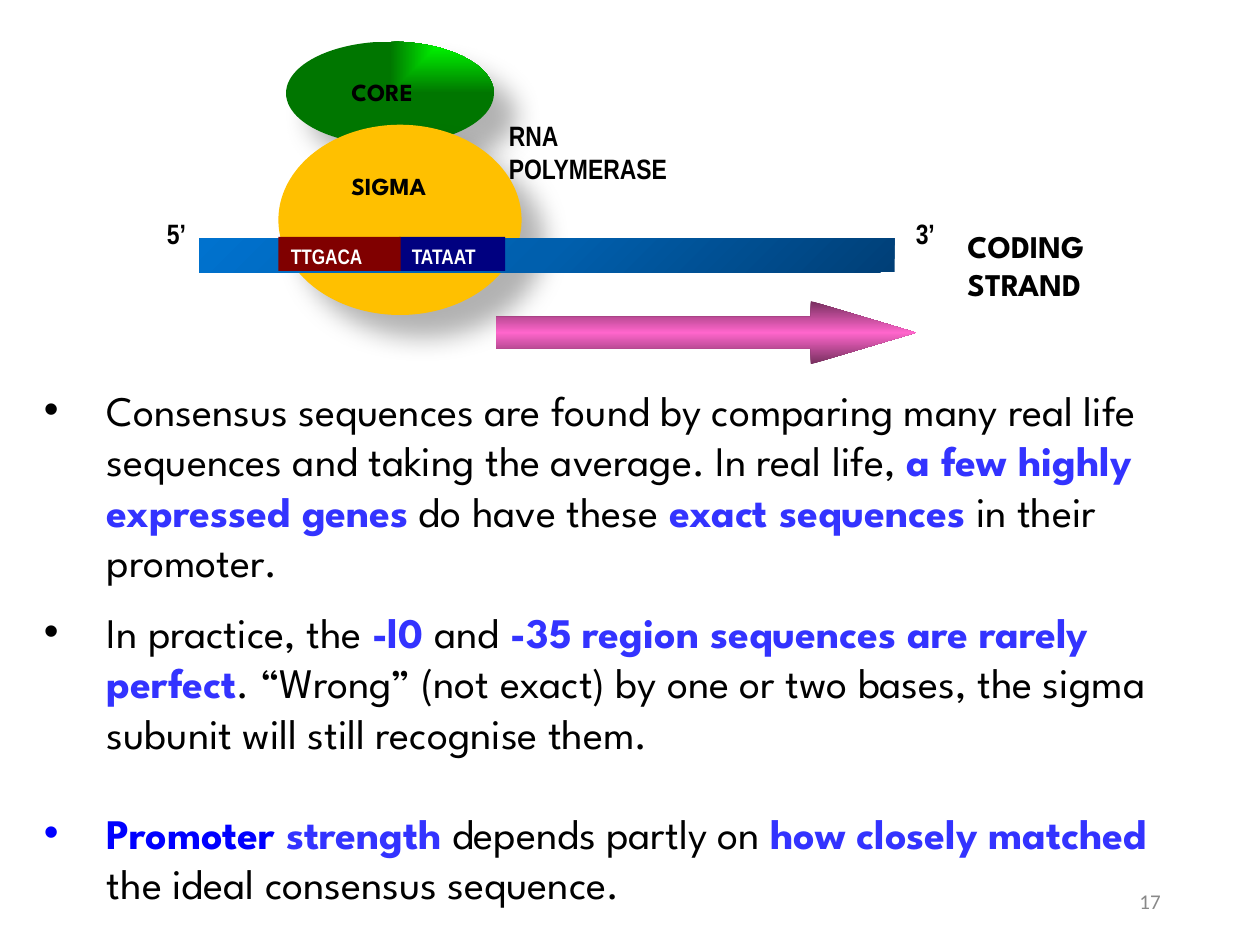
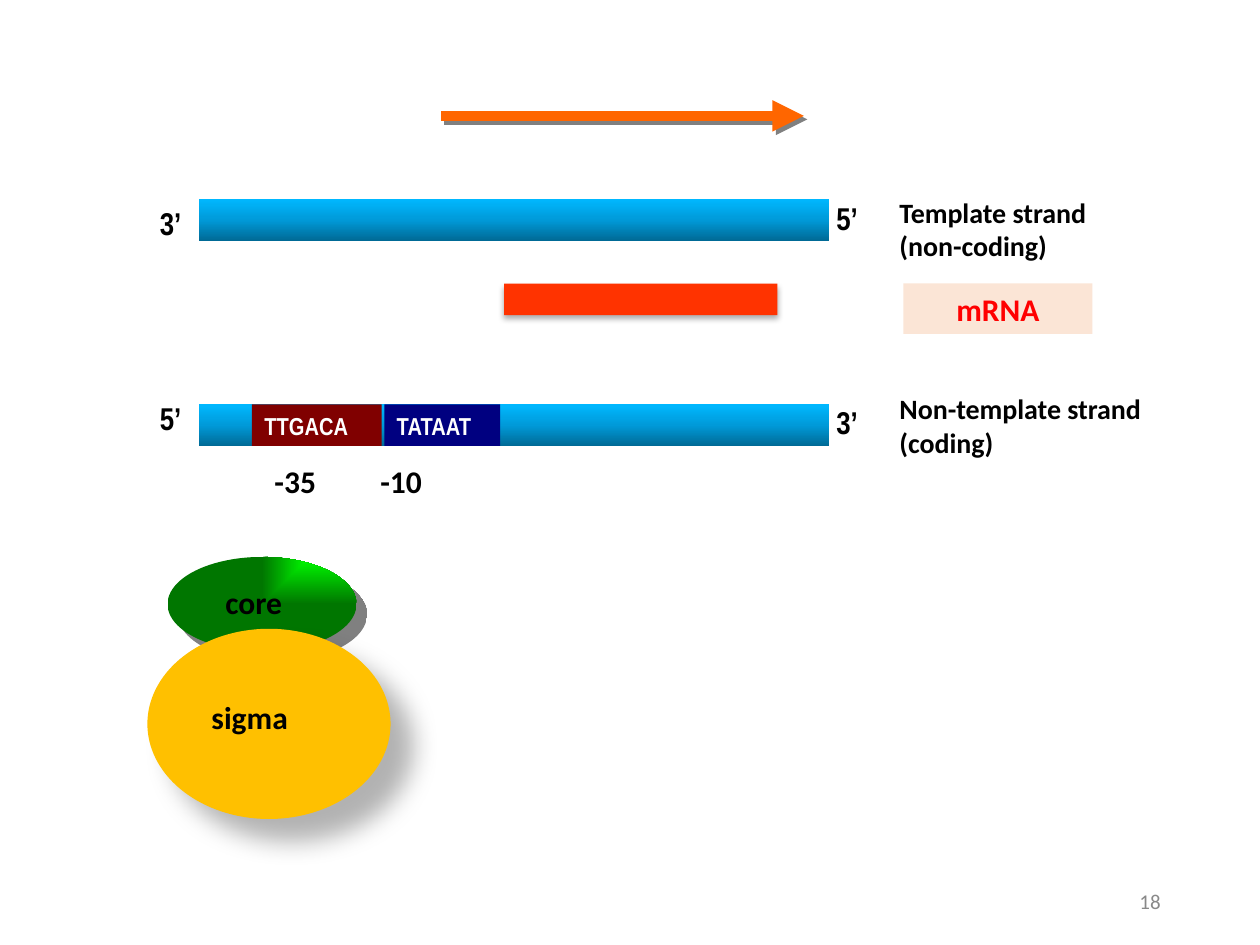
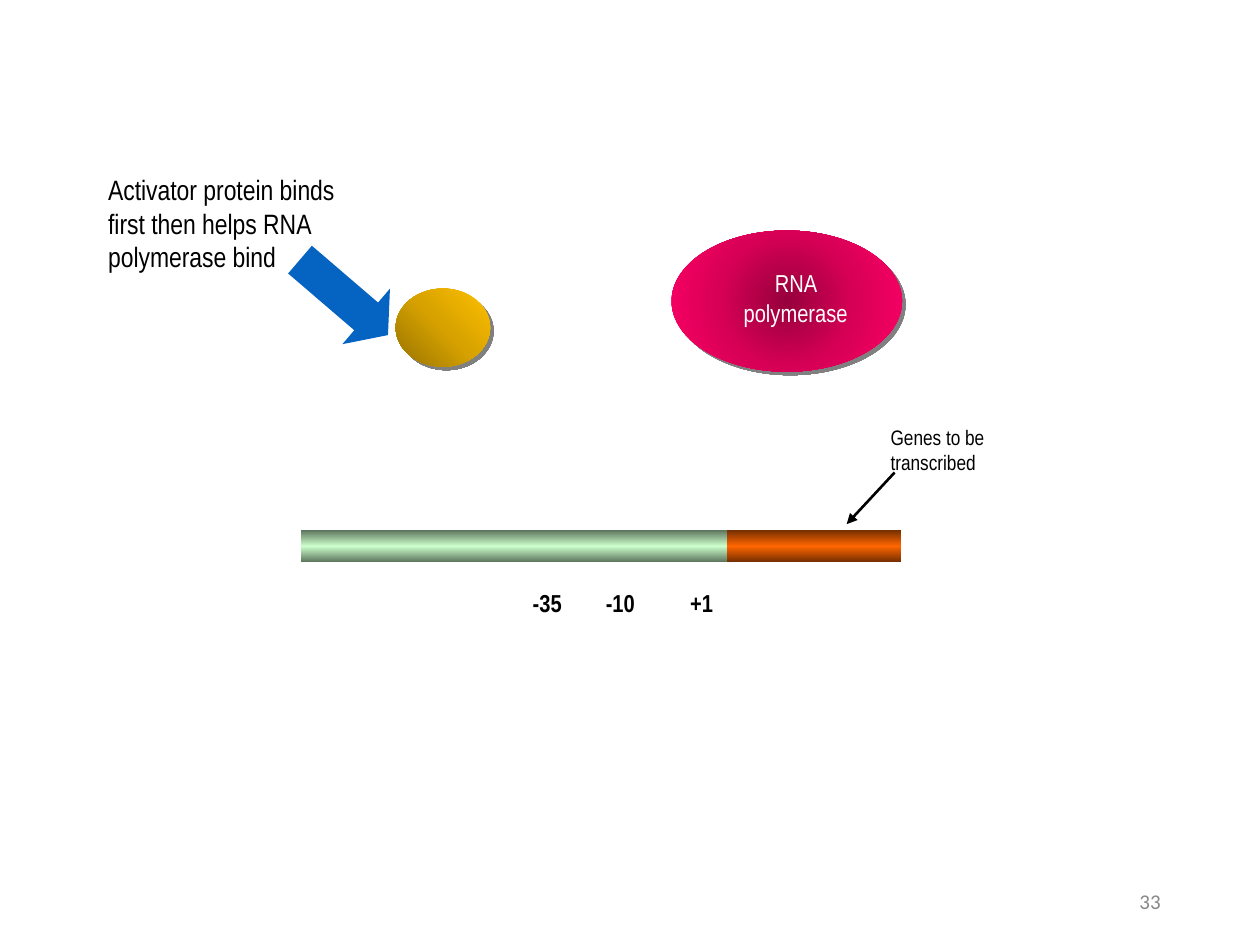
from pptx import Presentation
from pptx.dml.color import RGBColor
from pptx.enum.shapes import MSO_CONNECTOR, MSO_SHAPE
from pptx.enum.text import MSO_ANCHOR, PP_ALIGN
from pptx.oxml import parse_xml
from pptx.oxml.ns import nsdecls
from pptx.util import Inches, Pt

OVAL, RECT, ARROW = MSO_SHAPE.OVAL, MSO_SHAPE.RECTANGLE, MSO_SHAPE.RIGHT_ARROW
LEFT, MID, RIGHT = PP_ALIGN.LEFT, PP_ALIGN.CENTER, PP_ALIGN.RIGHT
TOP, CENTER = MSO_ANCHOR.TOP, MSO_ANCHOR.MIDDLE
STRAIGHT = MSO_CONNECTOR.STRAIGHT

# Colours
BLACK = RGBColor(0x00, 0x00, 0x00)
WHITE = RGBColor(0xFF, 0xFF, 0xFF)
GREY = RGBColor(0x89, 0x89, 0x89)
GOLD = RGBColor(0xFF, 0xC0, 0x00)
NAVY = RGBColor(0x00, 0x00, 0x80)
MAROON = RGBColor(0x80, 0x00, 0x00)
BLUE = RGBColor(0x00, 0x00, 0xFF)
VIOLET = RGBColor(0x33, 0x33, 0xFF)
ROYAL = RGBColor(0x05, 0x63, 0xC1)
ORANGE = RGBColor(0xFF, 0x66, 0x00)
RED = RGBColor(0xFF, 0x00, 0x00)
SCARLET = RGBColor(0xFF, 0x33, 0x00)
PEACH = RGBColor(0xFB, 0xE5, 0xD6)

# Gradients: evenly spaced stops, then an angle or a path with its focus
GREEN = (("00FF00", "007600"), ("rect", 100, 0, 0, 100))
OCEAN = (("003F77", "005FAD", "0072CE"), 225)
SKY = (("006A96", "009AD9", "00B8FF"), 270)
PINK = (("762F5E", "FF66CC", "762F5E"), 90)
MINT = (("5E765E", "CCFFCC", "5E765E"), 90)
RUST = (("762F00", "FF6600", "762F00"), 90)
AMBER = (("977200", "D7A200", "FFC000"), ("circle", 0, 100, 100, 0))
ROSE = (("97003C", "D70056", "FF0066"), ("circle", 50, 50, 50, 50))

# Shadows: colour, opacity %, blur pt, distance pt, angle
SOFT = ("000000", 30, 15, 18, 45)
HARD = ("808080", 100, 0, 2.8, 45)
DEEP = ("808080", 100, 0, 8.5, 45)
DROP = ("000000", 32, 3.5, 2.2, 90)

# Text styles
NARROW = dict(name="Arial Narrow", size=Pt(16), bold=True, color=BLACK)
SPARTAN = dict(NARROW, name="League Spartan", size=Pt(14))
PLAIN = dict(NARROW, name="Calibri", size=Pt(18))
FOOT = dict(PLAIN, size=Pt(12), bold=False, color=GREY)
BODY = dict(SPARTAN, size=Pt(24), bold=False)
KEY = dict(bold=True, color=VIOLET)

deck = Presentation()
deck.slide_width, deck.slide_height = Inches(10), Inches(7.5)
UNIT = deck.slide_width / 10  # one column of the grid, and one row


def shape(page, kind, box, fill=None, shade=None, rot=0, adj=()):
    """Add a preset shape, or a text box when kind is None."""
    area = [round(v * UNIT) for v in box]
    if kind is None:
        return page.shapes.add_textbox(*area)
    item = page.shapes.add_shape(kind, *area)
    item.rotation = rot
    for i, val in enumerate(adj):
        item.adjustments[i] = val
    item.line.fill.background()
    item.shadow.inherit = False
    props = item._element.spPr
    if isinstance(fill, RGBColor):
        item.fill.solid()
        item.fill.fore_color.rgb = fill
    else:
        tones, way = fill
        stops = "".join(
            f'<a:gs pos="{i * 100000 // (len(tones) - 1)}"><a:srgbClr val="{tone}"/></a:gs>'
            for i, tone in enumerate(tones))
        if isinstance(way, int):
            tail = f'<a:lin ang="{way * 60000}" scaled="0"/>'
        else:
            form, *edge = way
            sides = " ".join(f'{s}="{v * 1000}"' for s, v in zip("ltrb", edge))
            tail = f'<a:path path="{form}"><a:fillToRect {sides}/></a:path>'
        props.insert(2, parse_xml(
            f'<a:gradFill {nsdecls("a")} rotWithShape="1"><a:gsLst>{stops}</a:gsLst>{tail}</a:gradFill>'))
    if shade:
        tone, alpha, blur, dist, turn = shade
        props[-1].append(parse_xml(
            f'<a:outerShdw {nsdecls("a")} blurRad="{Pt(blur)}" dist="{Pt(dist)}" dir="{turn * 60000}"'
            f' algn="ctr" rotWithShape="0"><a:srgbClr val="{tone}">'
            f'<a:alpha val="{alpha * 1000}"/></a:srgbClr></a:outerShdw>'))
    return item


def write(item, paras, style, align=LEFT, anchor=TOP, tabs=(), gaps=None):
    """Fill a shape with paragraphs; gaps makes them bullets with space before."""
    frame = item.text_frame
    frame.word_wrap, frame.vertical_anchor = True, anchor
    for i, runs in enumerate([paras] if isinstance(paras, str) else paras):
        para = frame.add_paragraph() if i else frame.paragraphs[0]
        para.alignment = align
        props = para._p.get_or_add_pPr()
        if gaps:
            props.set("marL", str(Inches(0.5)))
            props.set("indent", str(-Inches(0.5)))
            props.append(parse_xml(f'<a:buFont {nsdecls("a")} typeface="Arial"/>'))
            props.append(parse_xml(f'<a:buChar {nsdecls("a")} char="•"/>'))
            if i:
                para.space_before = Pt(gaps[i])
        if tabs:
            stops = "".join(f'<a:tab pos="{Inches(t)}" algn="l"/>' for t in tabs)
            props.append(parse_xml(f'<a:tabLst {nsdecls("a")}>{stops}</a:tabLst>'))
        for words, more in [(runs, {})] if isinstance(runs, str) else runs:
            run = para.add_run()
            run.text = words
            for key, val in {**style, **more}.items():
                if key == "color":
                    run.font.color.rgb = val
                else:
                    setattr(run.font, key, val)


# Pages with their numbers
pages = []
for number in ("17", "18", "33"):
    page = deck.slides.add_slide(deck.slide_layouts[6])
    write(shape(page, None, (7.06, 6.95, 2.25, 0.4)), number, FOOT, RIGHT, CENTER)
    pages.append(page)
first, second, third = pages

# Slide 1: polymerase on the coding strand
shape(first, OVAL, (2.27, 0.33, 1.65, 0.82), GREEN, SOFT)
shape(first, OVAL, (2.21, 0.99, 1.93, 1.51), GOLD, SOFT)
shape(first, RECT, (1.58, 1.89, 5.52, 0.27), OCEAN)
shape(first, ARROW, (3.94, 2.39, 3.33, 0.5), PINK, adj=(0.5, 1.667))
for words, box, style, align in (
    ("SIGMA", (2.69, 1.31, 1, 0.25), SPARTAN, LEFT),
    ("CORE", (2.69, 0.56, 0.92, 0.25), SPARTAN, LEFT),
    ("RNA POLYMERASE", (3.94, 0.89, 1.77, 0.56), NARROW, LEFT),
    ("CODING STRAND", (7.58, 1.75, 1.52, 0.61), dict(SPARTAN, size=Pt(18)), LEFT),
    ("5’", (1.17, 1.67, 0.46, 0.54), NARROW, MID),
    ("3’", (7.17, 1.67, 0.46, 0.45), NARROW, LEFT),
):
    write(shape(first, None, box), words, style, align)

# Slide 1: findings
write(shape(first, None, (0.25, 3, 9.42, 4.31)), [
    [("Consensus sequences are found by comparing many real life sequences "
      "and taking the average. In real life, ", {}),
     ("a few highly expressed genes", KEY), (" do have these ", {}),
     ("exact sequences", KEY), (" in their promoter.", {})],
    [("In practice, the ", {}), ("-l0 ", KEY), ("and", {}),
     (" -35 region sequences are rarely perfect", KEY),
     (". “Wrong” (not exact) by one or two bases, the sigma subunit "
      "will still recognise them.", {})],
    [("Promoter", dict(KEY, color=BLUE)), (" strength", KEY),
     (" depends partly on ", {}), ("how closely matched", KEY),
     (" the ideal consensus sequence.", {})],
], BODY, gaps=(0, 11.7, 28.3))

# Slide 2: the two strands, the transcript and the polymerase
for top in (1.58, 3.21):
    shape(second, RECT, (1.58, top, 5, 0.33), SKY)
shape(second, OVAL, (1.33, 4.42, 1.5, 0.75), GREEN, DEEP)
shape(second, OVAL, (1.17, 4.99, 1.93, 1.51), GOLD, SOFT)
shape(second, RECT, (4, 2.25, 2.17, 0.25), SCARLET, DROP, rot=180)
write(shape(second, RECT, (7.17, 2.25, 1.5, 0.4), PEACH), "mRNA", dict(PLAIN, color=RED), MID)
small, ends = dict(PLAIN, size=Pt(16)), dict(NARROW, size=Pt(18))
for words, box, style in (
    ("Template strand (non-coding)", (7.04, 1.5, 2.06, 0.64), small),
    ("Non-template strand (coding)", (7.04, 3.06, 2.14, 0.64), small),
    ("3’", (1.17, 1.57, 0.4, 0.54), ends),
    ("5’", (6.54, 1.53, 0.4, 0.54), ends),
    ("5’", (1.17, 3.12, 0.4, 0.54), ends),
    ("3’", (6.54, 3.15, 0.4, 0.54), ends),
    ("core", (1.69, 4.58, 0.92, 0.4), PLAIN),
    ("sigma", (1.58, 5.49, 1.08, 0.4), PLAIN),
):
    write(shape(second, None, box), words, style)
write(shape(second, None, (2.08, 3.62, 1.67, 0.4)), "-35\t-10", PLAIN, tabs=(0.84,))

# Promoter boxes on slides 1 and 2
for page, words, box, fill, size in (
    (first, "TATAAT", (3.17, 1.88, 0.84, 0.27), NAVY, 12),
    (first, "TTGACA", (2.21, 1.88, 0.97, 0.27), MAROON, 12),
    (second, "TATAAT", (3.05, 3.21, 0.92, 0.33), NAVY, 14),
    (second, "TTGACA", (2, 3.21, 1.03, 0.33), MAROON, 14),
):
    write(shape(page, RECT, box, fill), words, dict(NARROW, size=Pt(size), color=WHITE))

# Slide 3: activator, polymerase and gene
shape(third, RECT, (2.39, 4.21, 3.38, 0.25), MINT)
shape(third, RECT, (5.77, 4.21, 1.38, 0.25), RUST)
shape(third, OVAL, (3.14, 2.29, 0.75, 0.62), AMBER, HARD)
shape(third, OVAL, (5.33, 1.83, 1.83, 1.12), ROSE, HARD)
light = dict(NARROW, bold=False)
for paras, box, style, align, tabs in (
    (["Genes to be", "transcribed"], (6.97, 3.32, 1, 0.5), dict(light, size=Pt(12)), LEFT, ()),
    ("RNA polymerase", (5.75, 2.08, 1.13, 0.5), dict(light, size=Pt(14), color=WHITE), MID, ()),
    ("Activator protein binds first then helps RNA polymerase bind",
     (0.76, 1.32, 2, 0.93), light, LEFT, ()),
    ("-35\t-10\t+1", (4.13, 4.62, 2, 0.5), dict(NARROW, size=Pt(14)), LEFT, (0.58, 1.25)),
):
    write(shape(third, None, box), paras, style, align, tabs=tabs)
shape(third, ARROW, (2.27, 2.07, 0.92, 0.58), ROYAL, rot=40.6, adj=(0.5, 0.393))

# Line arrows
for page, track, color, width, shade in (
    (second, (3.5, 0.92, 6.38, 0.92), ORANGE, 6,
     f'<a:outerShdw dist="{Pt(2.8)}" dir="2700000" algn="ctr" rotWithShape="0">'
     '<a:srgbClr val="808080"/></a:outerShdw>'),
    (third, (7.1, 3.75, 6.72, 4.16), BLACK, 1.5, ""),
):
    line = page.shapes.add_connector(STRAIGHT, *[round(v * UNIT) for v in track])
    line.line.color.rgb, line.line.width = color, Pt(width)
    props = line._element.spPr
    props[-1].append(parse_xml(f'<a:tailEnd {nsdecls("a")} type="triangle"/>'))
    props.append(parse_xml(f'<a:effectLst {nsdecls("a")}>{shade}</a:effectLst>'))

deck.save("out.pptx")
